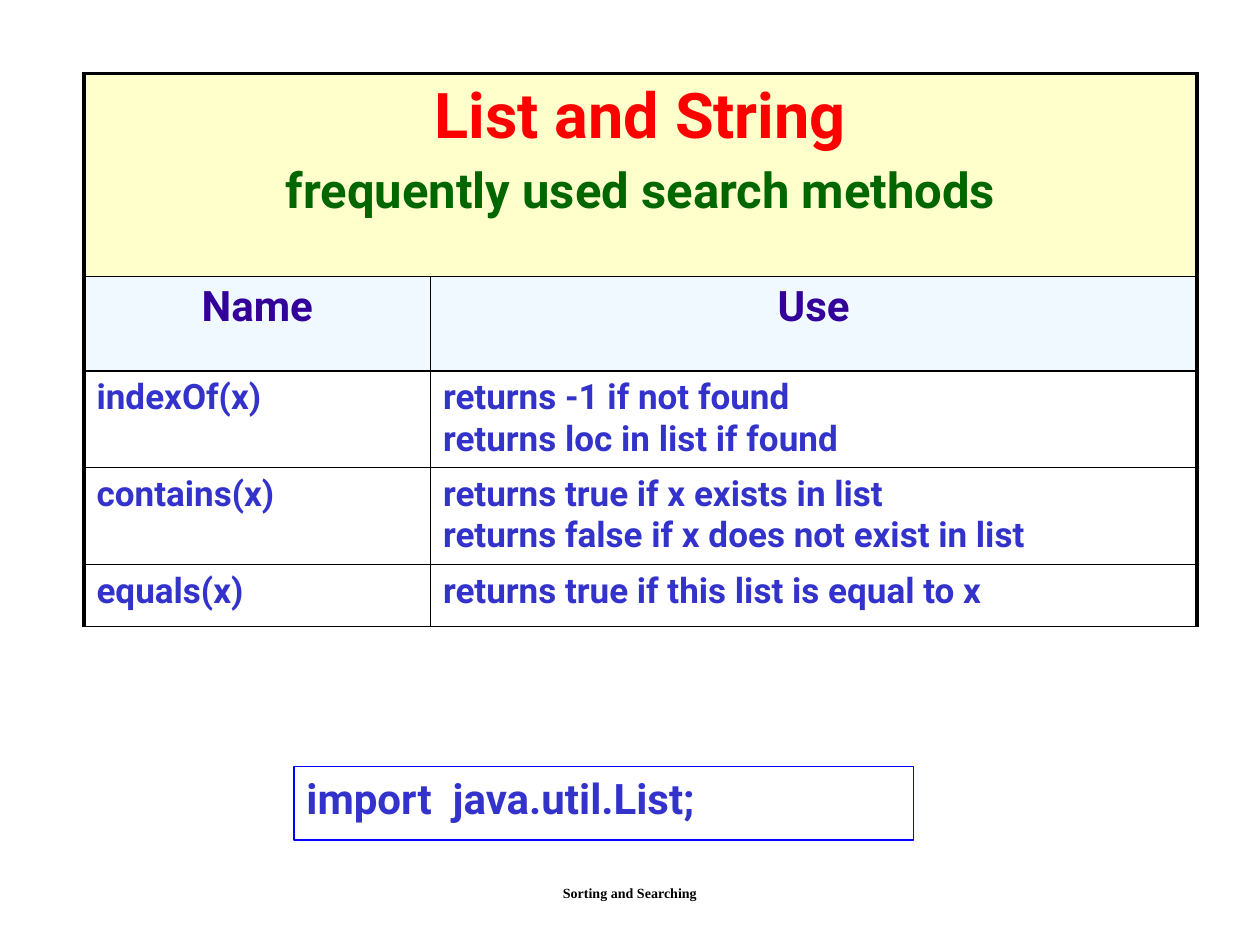
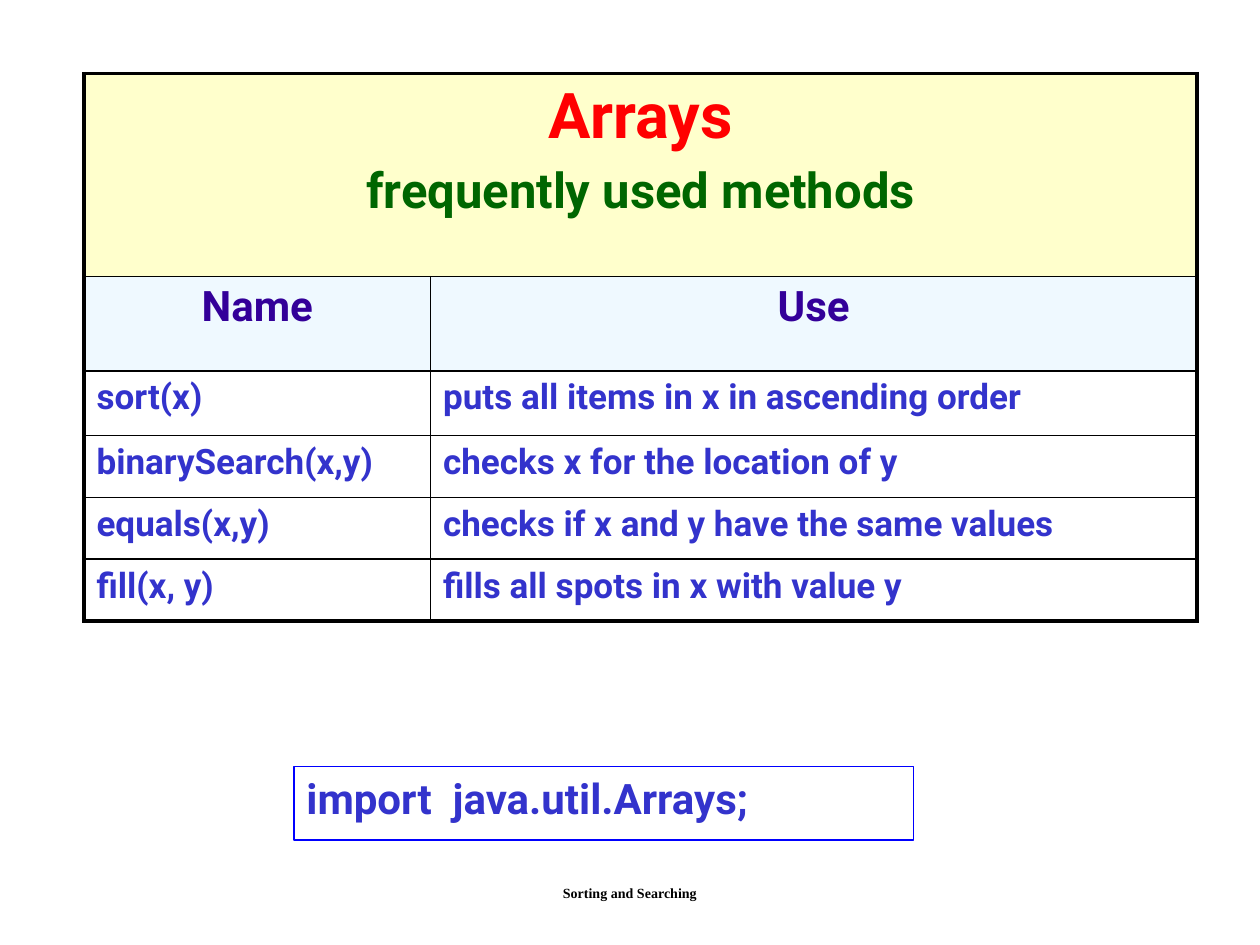
"""Build two slides that list Java search and array methods."""
import pptx
import pptx.dml.color
import pptx.enum.shapes
import pptx.enum.text
import pptx.oxml
import pptx.oxml.ns
import pptx.util

Pt = pptx.util.Pt
RGB = pptx.dml.color.RGBColor
ALIGN = pptx.enum.text.PP_ALIGN
ANCHOR = pptx.enum.text.MSO_ANCHOR
FIT = pptx.enum.text.MSO_AUTO_SIZE.SHAPE_TO_FIT_TEXT
RECT = pptx.enum.shapes.MSO_SHAPE.RECTANGLE

BLACK = RGB(0, 0, 0)
RED = RGB(255, 0, 0)
GREEN = RGB(0, 102, 0)
PURPLE = RGB(51, 0, 153)
INDIGO = RGB(51, 51, 204)
BLUE = RGB(0, 0, 255)
CREAM = RGB(255, 255, 204)
ICE = RGB(225, 244, 255)

THIN, THICK = 1, 2.25
WIDTHS = (198, 438)


class Deck:
    """Hold the shared style and the current slide."""

    sans = "Roboto"
    serif = "Times New Roman"

    def __init__(self):
        self.file = pptx.Presentation()
        self.file.slide_width, self.file.slide_height = Pt(720), Pt(540)

    def start(self):
        self.slide = self.file.slides.add_slide(self.file.slide_layouts[6])
        self.footer("Sorting and Searching")

    def label(self, para, text, size, color, align=ALIGN.LEFT, face=sans, gap=0):
        para.text = text
        para.alignment = align
        para.space_before = Pt(gap * size)
        font = para.font
        font.name, font.size, font.bold = face, Pt(size), True
        font.color.rgb = color

    def footer(self, text):
        box = self.slide.shapes.add_textbox(Pt(246), Pt(492), Pt(228), Pt(36))
        frame = box.text_frame
        frame.word_wrap = False
        frame.vertical_anchor = ANCHOR.MIDDLE
        self.label(frame.paragraphs[0], text, 8, BLACK, ALIGN.CENTER, self.serif)

    def code(self, text):
        box = self.slide.shapes.add_shape(RECT, Pt(168), Pt(438), Pt(354), Pt(42))
        box.shadow.inherit = False
        box.fill.background()
        box.line.color.rgb, box.line.width = BLUE, Pt(1)
        frame = box.text_frame
        frame.word_wrap = True
        frame.auto_size = FIT
        frame.vertical_anchor = ANCHOR.TOP
        self.label(frame.paragraphs[0], text, 24, INDIGO)

    def edge(self, cell, **widths):
        props = cell._tc.get_or_add_tcPr()
        for spot, (side, width) in enumerate(widths.items()):
            line = pptx.oxml.parse_xml(
                f'<a:ln{side} {pptx.oxml.ns.nsdecls("a")} w="{Pt(width)}">'
                f'<a:solidFill><a:srgbClr val="{BLACK}"/></a:solidFill></a:ln{side}>')
            props.insert(spot, line)

    def paint(self, cell, color, alpha=100):
        cell.fill.solid()
        cell.fill.fore_color.rgb = color
        if alpha < 100:
            props = cell._tc.get_or_add_tcPr()
            tint = props.find(pptx.oxml.ns.qn("a:solidFill"))[0]
            tint.append(pptx.oxml.parse_xml(
                f'<a:alpha {pptx.oxml.ns.nsdecls("a")} val="{alpha * 1000}"/>'))

    def table(self, title, sub, rows, heights, base):
        heights = (116, 54, *heights)
        shape = self.slide.shapes.add_table(
            len(heights), 2, Pt(48), Pt(42), Pt(sum(WIDTHS)), Pt(sum(heights)))
        grid = shape.table
        grid.first_row = grid.horz_banding = False
        for col, width in zip(grid.columns, WIDTHS):
            col.width = Pt(width)
        for row, height in zip(grid.rows, heights):
            row.height = Pt(height)

        last = len(heights) - 1
        for r in range(last + 1):
            for c in range(2):
                cell = grid.cell(r, c)
                cell.fill.background()
                self.edge(cell,
                          L=THICK if c == 0 else THIN,
                          R=THICK if c == 1 or r == 0 else THIN,
                          T=THICK if r == 0 else THIN,
                          B=base if r == last else THIN)

        head = grid.cell(0, 0)
        head.merge(grid.cell(0, 1))
        self.paint(head, CREAM)
        frame = head.text_frame
        self.label(frame.paragraphs[0], title, 36, RED, ALIGN.CENTER, gap=0.2)
        self.label(frame.add_paragraph(), sub, 28, GREEN, ALIGN.CENTER, gap=0.2)
        for c, name in enumerate(("Name", "Use")):
            cell = grid.cell(1, c)
            self.paint(cell, ICE, 50)
            self.label(cell.text_frame.paragraphs[0], name, 24, PURPLE,
                       ALIGN.CENTER, gap=0.2)
        for r, row in enumerate(rows, 2):
            for c, text in enumerate(row):
                para = grid.cell(r, c).text_frame.paragraphs[0]
                self.label(para, text, 20, INDIGO, gap=0.2)


deck = Deck()

deck.start()
deck.table("List and String", "frequently used search methods", (
    ("indexOf(x)", "returns -1 if not found\vreturns loc in list if found"),
    ("contains(x)", "returns true if x exists in list\v"
                    "returns false if x does not exist in list"),
    ("equals(x)", "returns true if this list is equal to x"),
), (55.2, 55.2, 35.4), THIN)
deck.code("import  java.util.List;")

deck.start()
deck.table("Arrays", "frequently used methods", (
    ("sort(x)", "puts all items in x in ascending order"),
    ("binarySearch(x,y)", "checks x for the location of y"),
    ("equals(x,y)", "checks if x and y have the same values"),
    ("fill(x, y)", "fills all spots in x with value y"),
), (36.8, 35.4, 35.4, 35.4), THICK)
deck.code("import  java.util.Arrays;")

deck.file.save("out.pptx")
